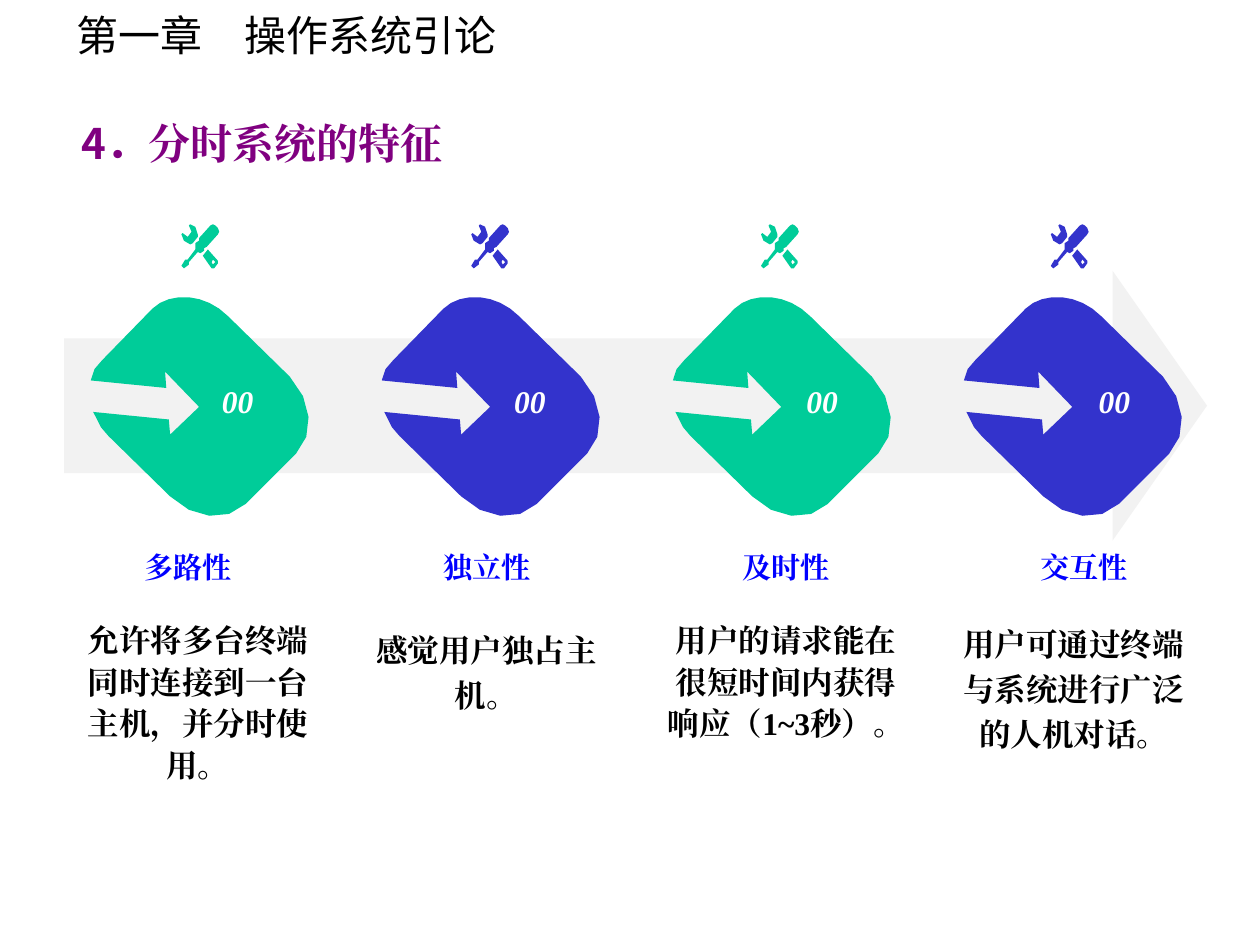
from dataclasses import dataclass

from lxml.etree import SubElement
from pptx import Presentation
from pptx.dml.color import RGBColor
from pptx.enum.shapes import MSO_SHAPE
from pptx.enum.text import MSO_ANCHOR, MSO_AUTO_SIZE, PP_ALIGN
from pptx.oxml.ns import qn
from pptx.shapes.autoshape import Shape
from pptx.slide import Slide
from pptx.text.text import _Run
from pptx.util import Inches, Pt

GREEN = RGBColor(0x00, 0xCC, 0x99)
INDIGO = RGBColor(0x33, 0x33, 0xCC)
BLUE = RGBColor(0x00, 0x00, 0xFF)
PURPLE = RGBColor(0x80, 0x00, 0x80)
BLACK = RGBColor(0x00, 0x00, 0x00)
WHITE = RGBColor(0xFF, 0xFF, 0xFF)
PALE_GREY = RGBColor(0xF2, 0xF2, 0xF2)

SANS = "Noto Sans CJK SC"
SERIF = "Times New Roman"

DIAMOND_PITCH = 2.31
ICON_PITCH = 2.3
NUMBER_PITCH = 2.32
TITLE_PITCH = 2.37
CURVE_STEPS = 4

# Outlines of the first column, in inches: a pair is a corner,
# six numbers are a Bezier curve (two control points and the end).
Contour = list[tuple[float, ...]]

DIAMOND: list[Contour] = [[
    (1.5, 2.36), (1.61, 2.37, 1.72, 2.42, 1.81, 2.51), (2.3, 2.99),
    (2.48, 3.18, 2.5, 3.45, 2.35, 3.6), (1.95, 4),
    (1.8, 4.15, 1.53, 4.12, 1.35, 3.94), (0.86, 3.46), (0.8, 3.39),
    (0.74, 3.27), (1.34, 3.33), (1.35, 3.45), (1.58, 3.23), (1.31, 2.95),
    (1.32, 3.08), (0.72, 3.02), (0.75, 2.93), (0.81, 2.86), (1.21, 2.45),
    (1.28, 2.38, 1.39, 2.35, 1.5, 2.36),
]]

HANDLE_HOLE: Contour = [(1.69, 2.06), (1.68, 2.08), (1.69, 2.1), (1.71, 2.08)]
WRENCH_HANDLE: Contour = [
    (1.65, 1.98), (1.73, 2.07), (1.73, 2.09), (1.7, 2.13), (1.68, 2.13),
    (1.61, 2.03),
]
SCREWDRIVER: Contour = [
    (1.69, 1.78), (1.71, 1.79), (1.73, 1.81), (1.74, 1.84), (1.73, 1.86),
    (1.64, 1.96), (1.62, 1.97), (1.62, 1.99), (1.59, 2.01), (1.57, 2),
    (1.5, 2.08), (1.5, 2.1), (1.46, 2.13), (1.44, 2.11), (1.47, 2.06),
    (1.49, 2.06), (1.55, 1.98), (1.55, 1.93), (1.58, 1.91), (1.58, 1.89),
    (1.67, 1.79),
]
WRENCH_HEAD: Contour = [
    (1.51, 1.78), (1.55, 1.8), (1.57, 1.86), (1.57, 1.88), (1.53, 1.93),
    (1.51, 1.94), (1.46, 1.91), (1.44, 1.86), (1.45, 1.85), (1.49, 1.88),
    (1.52, 1.84), (1.5, 1.79),
]
TOOLS_ICON = [HANDLE_HOLE, WRENCH_HANDLE, SCREWDRIVER, WRENCH_HEAD]


@dataclass(frozen=True)
class Feature:
    title: str
    description: str
    color: RGBColor
    left: float
    top: float
    line_spacing: float


@dataclass(frozen=True)
class TextStyle:
    size: float
    color: RGBColor
    font: str = SERIF
    bold: bool = True
    italic: bool = False


FEATURES = [
    Feature("多路性", "允许将多台终端同时连接到一台主机，并分时使用。", GREEN, 0.51, 4.85, 1.1),
    Feature("独立性", "感觉用户独占主机。", INDIGO, 2.8, 4.9, 1.2),
    Feature("及时性", "用户的请求能在很短时间内获得响应（1~3秒）。", GREEN, 5.18, 4.85, 1.1),
    Feature("交互性", "用户可通过终端与系统进行广泛的人机对话。", INDIGO, 7.46, 4.85, 1.2),
]

CHAPTER_STYLE = TextStyle(24, BLACK, SANS, bold=False)
HEADING_NUMBER_STYLE = TextStyle(24, PURPLE, SANS)
HEADING_STYLE = TextStyle(24, PURPLE)
NUMBER_STYLE = TextStyle(18, WHITE, italic=True)
TITLE_STYLE = TextStyle(16.6, BLUE)
DESCRIPTION_STYLE = TextStyle(18, BLACK)


def format_run(run: _Run, style: TextStyle) -> None:
    """Apply the style, with one typeface for Latin and East Asian text."""
    font = run.font
    font.name, font.size = style.font, Pt(style.size)
    font.bold, font.italic = style.bold, style.italic
    font.color.rgb = style.color
    SubElement(run._r.get_or_add_rPr(), qn("a:ea"), typeface=style.font)


def add_text(slide: Slide, left: float, top: float, width: float, height: float,
             text: str, style: TextStyle, alignment: PP_ALIGN = PP_ALIGN.CENTER) -> Shape:
    box = slide.shapes.add_textbox(Inches(left), Inches(top), Inches(width), Inches(height))
    box.text_frame.word_wrap = True
    box.text_frame.text = text
    paragraph = box.text_frame.paragraphs[0]
    paragraph.alignment = alignment
    format_run(paragraph.runs[0], style)
    return box


def paint(shape: Shape, color: RGBColor) -> None:
    shape.shadow.inherit = False
    shape.fill.solid()
    shape.fill.fore_color.rgb = color
    shape.line.fill.background()


def flatten(contour: Contour, offset: float) -> list[tuple[int, int]]:
    """Turn corners and curves into a list of points moved right by offset."""
    points = [contour[0]]
    for segment in contour[1:]:
        if len(segment) == 2:
            points.append(segment)
            continue
        controls = [points[-1], segment[:2], segment[2:4], segment[4:]]
        for step in range(1, CURVE_STEPS + 1):
            t = step / CURVE_STEPS
            weights = ((1 - t) ** 3, 3 * t * (1 - t) ** 2, 3 * t * t * (1 - t), t ** 3)
            points.append(tuple(sum(weight * control[axis]
                                    for weight, control in zip(weights, controls))
                                for axis in (0, 1)))
    return [(Inches(x + offset), Inches(y)) for x, y in points]


def add_outline(slide: Slide, contours: list[Contour], offset: float, color: RGBColor) -> None:
    first, *others = [flatten(contour, offset) for contour in contours]
    builder = slide.shapes.build_freeform(*first[0])
    builder.add_line_segments(first[1:], close=True)
    for points in others:
        builder.move_to(*points[0])
        builder.add_line_segments(points[1:], close=True)
    paint(builder.convert_to_shape(), color)


def add_feature(slide: Slide, column: int, feature: Feature) -> None:
    add_outline(slide, DIAMOND, column * DIAMOND_PITCH, feature.color)
    add_outline(slide, TOOLS_ICON, column * ICON_PITCH, feature.color)
    number = add_text(slide, 1.59 + column * NUMBER_PITCH, 2.84, 0.59, 0.68, "00", NUMBER_STYLE)
    number.text_frame.vertical_anchor = MSO_ANCHOR.MIDDLE
    add_text(slide, 0.51 + column * TITLE_PITCH, 4.31, 1.97, 0.4, feature.title, TITLE_STYLE)
    description = add_text(slide, feature.left, feature.top, 2.12, 1.47,
                           feature.description, DESCRIPTION_STYLE)
    description.text_frame.paragraphs[0].line_spacing = feature.line_spacing


def main() -> None:
    presentation = Presentation()
    presentation.slide_width, presentation.slide_height = Inches(10), Inches(7.5)
    slide = presentation.slides.add_slide(presentation.slide_layouts[6])

    chapter = add_text(slide, 0.51, 0.03, 3.61, 0.5, "第一章　操作系统引论",
                       CHAPTER_STYLE, PP_ALIGN.LEFT)
    chapter.text_frame.word_wrap = False
    chapter.text_frame.auto_size = MSO_AUTO_SIZE.SHAPE_TO_FIT_TEXT

    arrow = slide.shapes.add_shape(MSO_SHAPE.RIGHT_ARROW, Inches(0.51), Inches(2.15),
                                   Inches(9.07), Inches(2.14))
    arrow.adjustments[1] = 0.35
    paint(arrow, PALE_GREY)
    for column, feature in enumerate(FEATURES):
        add_feature(slide, column, feature)

    heading = add_text(slide, 0.55, 0.76, 5, 0.62, "4．", HEADING_NUMBER_STYLE, PP_ALIGN.JUSTIFY)
    heading.text_frame.auto_size = MSO_AUTO_SIZE.SHAPE_TO_FIT_TEXT
    paragraph = heading.text_frame.paragraphs[0]
    paragraph.line_spacing = 1.3
    run = paragraph.add_run()
    run.text = "分时系统的特征"
    format_run(run, HEADING_STYLE)

    presentation.save("out.pptx")


if __name__ == "__main__":
    main()
